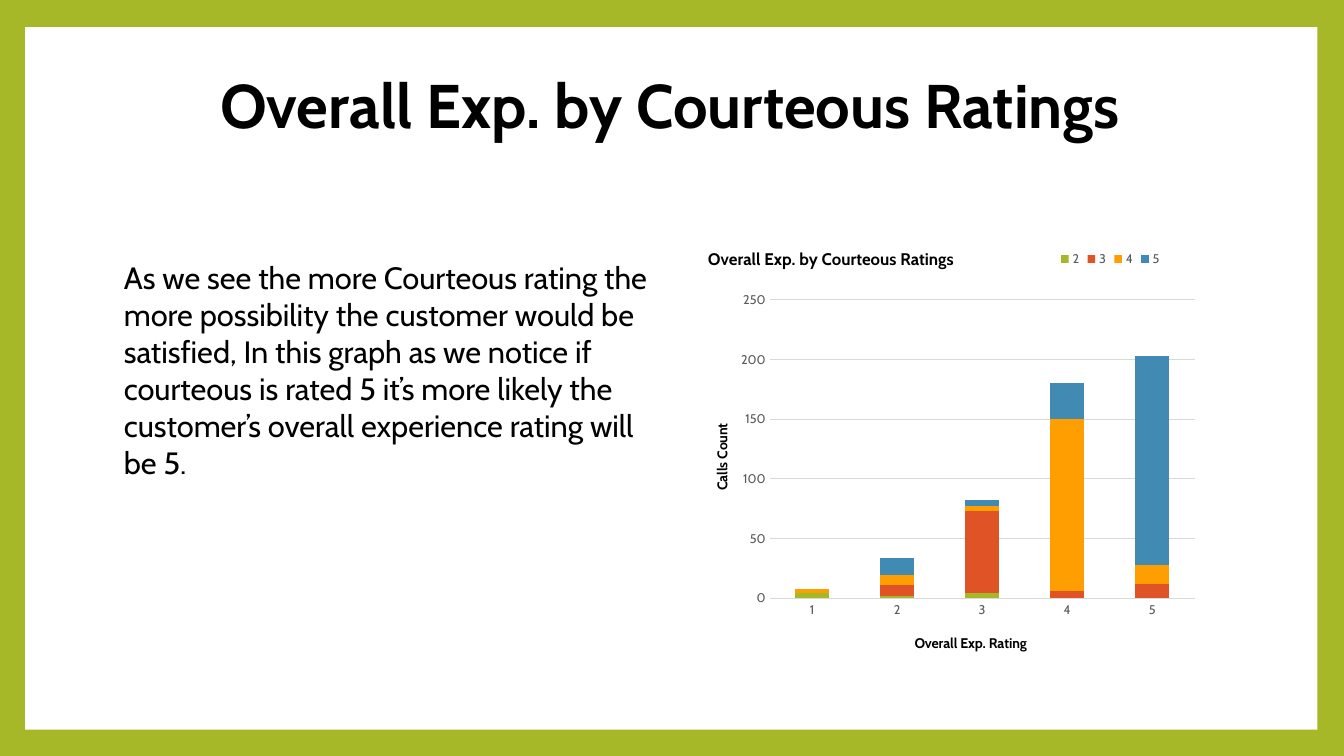
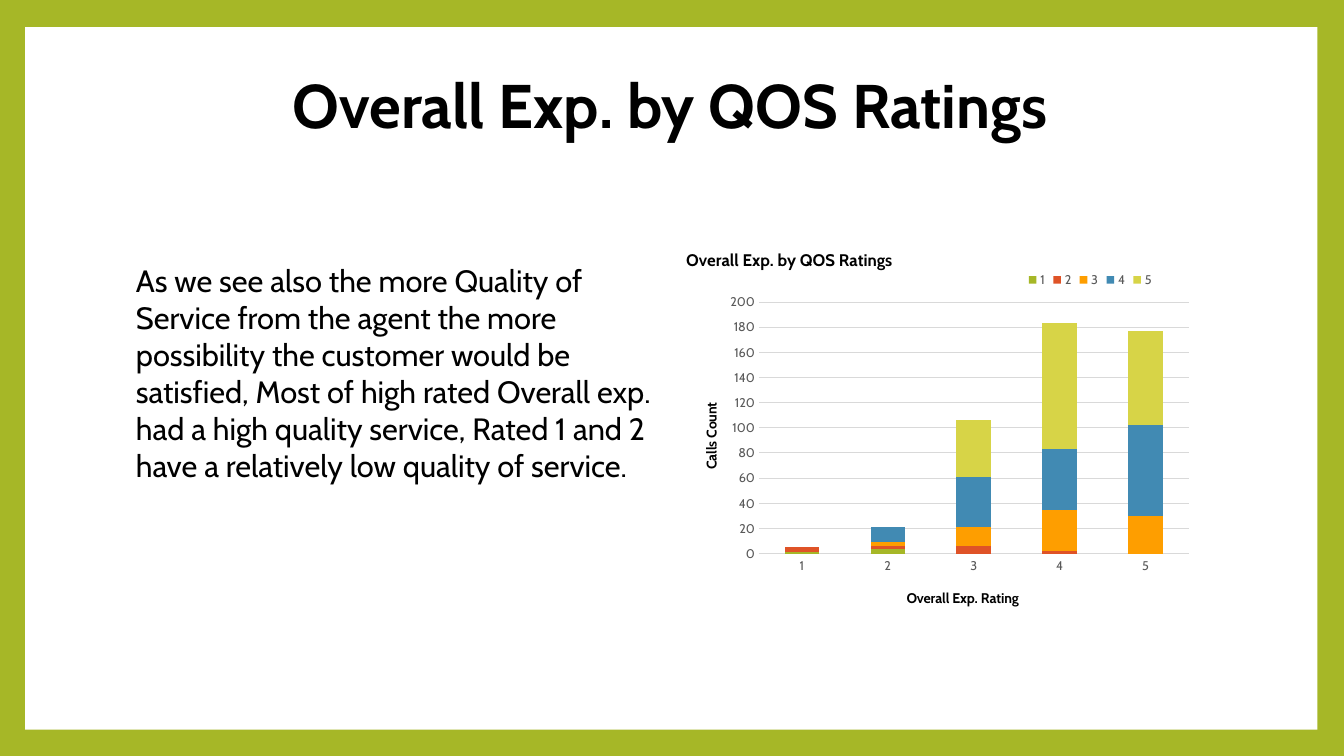
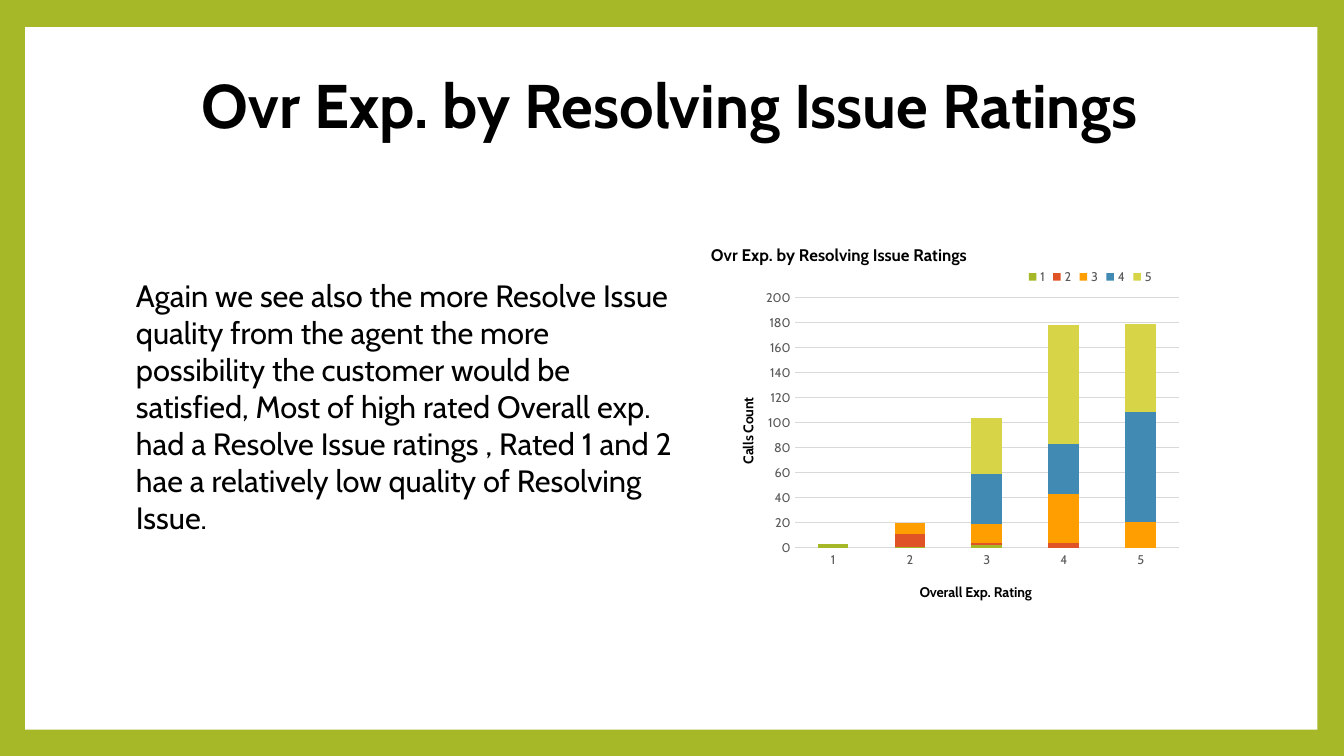
from dataclasses import dataclass

from lxml.etree import SubElement
from pptx import Presentation
from pptx.chart.chart import Chart
from pptx.chart.data import CategoryChartData
from pptx.dml.color import RGBColor
from pptx.enum.chart import XL_CHART_TYPE, XL_LEGEND_POSITION, XL_TICK_MARK
from pptx.enum.shapes import MSO_SHAPE
from pptx.enum.text import MSO_ANCHOR, MSO_AUTO_SIZE, PP_ALIGN
from pptx.oxml.ns import qn
from pptx.oxml.xmlchemy import BaseOxmlElement
from pptx.presentation import Presentation as Deck
from pptx.slide import Slide, SlideLayout
from pptx.text.text import Font
from pptx.util import Pt


@dataclass(frozen=True)
class Theme:
    font: str = "Cabin"
    frame: str = "A6B727"
    panel: str = "FFFFFF"
    text: str = "000000"
    label: str = "595959"
    grid: str = "D9D9D9"
    series: tuple[str, ...] = ("A6B727", "DF5327", "FE9E00", "418AB3", "D7D447")
    title_size: float = 44
    body_size: float = 22
    chart_title_size: float = 12
    axis_title_size: float = 10
    label_size: float = 9


@dataclass(frozen=True)
class Box:
    left: float
    top: float
    width: float
    height: float


@dataclass(frozen=True)
class Point:
    left: float
    top: float


@dataclass(frozen=True)
class RatingChart:
    area: Box
    plot: Box
    title: Point
    legend: Point
    category_title: Point
    value_title: Point
    maximum: int
    step: int
    series: dict[str, tuple[int | None, ...]]


@dataclass(frozen=True)
class RatingPage:
    title: str
    body: str
    body_box: Box
    chart: RatingChart


THEME = Theme()
PANEL = Box(18, 19.4, 923, 501.8)
TITLE = Box(90, 48.2, 777.6, 106.6)
RATINGS = ("1", "2", "3", "4", "5")

PAGES = (
    RatingPage(
        "Overall Exp. by Courteous Ratings",
        "As we see the more Courteous rating the more possibility the customer would be "
        "satisfied, In this graph as we notice if courteous is rated 5 it’s more likely "
        "the customer’s overall experience rating will be 5.",
        Box(81.4, 181.4, 388.8, 189.4),
        RatingChart(
            area=Box(484.6, 162, 383, 319.7),
            plot=Box(0.17, 0.163, 0.793, 0.667),
            title=Point(503.5, 174.5),
            legend=Point(755, 176.5),
            category_title=Point(651.4, 450.5),
            value_title=Point(506.8, 300.7),
            maximum=250,
            step=50,
            series={
                "2": (4, 2, 4, None, None),
                "3": (None, 9, 69, 6, 12),
                "4": (4, 8, 4, 144, 16),
                "5": (None, 15, 5, 30, 175),
            },
        ),
    ),
    RatingPage(
        "Overall Exp. by QOS Ratings",
        "As we see also the more Quality of Service from the agent the more possibility "
        "the customer would be satisfied, Most of high rated Overall exp. had a high "
        "quality service, Rated 1 and 2 have a relatively low quality of service.",
        Box(90, 183.6, 382.3, 193.7),
        RatingChart(
            area=Box(477.4, 162, 389.5, 283),
            plot=Box(0.166, 0.19, 0.788, 0.635),
            title=Point(487.9, 175.7),
            legend=Point(732, 191.4),
            category_title=Point(645.7, 418.2),
            value_title=Point(499, 285.7),
            maximum=200,
            step=20,
            series={
                "1": (1, 4, None, None, None),
                "2": (4, 2, 6, 2, None),
                "3": (None, 3, 15, 33, 30),
                "4": (None, 12, 40, 48, 72),
                "5": (None, None, 45, 100, 75),
            },
        ),
    ),
    RatingPage(
        "Ovr Exp. by Resolving Issue Ratings",
        "Again we see also the more Resolve Issue quality from the agent the more "
        "possibility the customer would be satisfied, Most of high rated Overall exp. had "
        "a Resolve Issue ratings , Rated 1 and 2 hae a relatively low quality of "
        "Resolving Issue.",
        Box(90, 194.4, 401.8, 167),
        RatingChart(
            area=Box(499.7, 162, 367.2, 289.4),
            plot=Box(0.185, 0.175, 0.748, 0.618),
            title=Point(505.7, 172),
            legend=Point(732, 189.3),
            category_title=Point(655, 414),
            value_title=Point(525.4, 282),
            maximum=200,
            step=20,
            series={
                "1": (3, 1, 2, None, None),
                "2": (None, 10, 2, 4, None),
                "3": (None, 9, 15, 39, 21),
                "4": (None, None, 40, 40, 88),
                "5": (None, None, 45, 95, 70),
            },
        ),
    ),
)


def lengths(box: Box) -> tuple[Pt, Pt, Pt, Pt]:
    return Pt(box.left), Pt(box.top), Pt(box.width), Pt(box.height)


def style_font(font: Font, size: float, color: str = THEME.text, bold: bool = False) -> None:
    font.name = THEME.font
    font.size = Pt(size)
    font.bold = bold
    font.color.rgb = RGBColor.from_string(color)


def prepare_layout(deck: Deck) -> SlideLayout:
    layout = deck.slide_layouts.get_by_name("Title Only")
    fill = deck.slide_master.background.fill
    fill.solid()
    fill.fore_color.rgb = RGBColor.from_string(THEME.frame)
    title = layout.placeholders[0]
    title.left, title.top, title.width, title.height = lengths(TITLE)
    return layout


def add_panel(deck: Deck, page: Slide) -> None:
    panel = page.shapes.add_shape(MSO_SHAPE.RECTANGLE, *lengths(PANEL))
    panel.shadow.inherit = False
    panel.fill.solid()
    panel.fill.fore_color.rgb = RGBColor.from_string(THEME.panel)
    panel.line.fill.background()
    deck.slide_master.element.cSld.spTree.insert(2, panel.element)


def add_title(page: Slide, text: str) -> None:
    frame = page.shapes.title.text_frame
    frame.text = text
    frame.auto_size = MSO_AUTO_SIZE.NONE
    frame.vertical_anchor = MSO_ANCHOR.TOP
    frame.margin_top = Pt(5.4)
    para = frame.paragraphs[0]
    para.alignment = PP_ALIGN.CENTER
    para.line_spacing = 0.9
    style_font(para.font, THEME.title_size, bold=True)


def add_body(page: Slide, text: str, box: Box) -> None:
    frame = page.shapes.add_textbox(*lengths(box)).text_frame
    frame.word_wrap = True
    frame.auto_size = MSO_AUTO_SIZE.SHAPE_TO_FIT_TEXT
    frame.text = text
    style_font(frame.paragraphs[0].font, THEME.body_size)


def set_layout(parent: BaseOxmlElement, values: dict[str, str | float]) -> None:
    for layout in parent.findall(qn("c:layout")):
        parent.remove(layout)
    leading = [child for child in parent if child.tag in (qn("c:tx"), qn("c:legendPos"))]
    layout = SubElement(parent, qn("c:layout"))
    parent.insert(len(leading), layout)
    manual = SubElement(layout, qn("c:manualLayout"))
    for name, value in values.items():
        SubElement(manual, qn(f"c:{name}")).set("val", str(value))


def place_in_chart(parent: BaseOxmlElement, point: Point, area: Box) -> None:
    set_layout(parent, {
        "xMode": "edge",
        "yMode": "edge",
        "x": round((point.left - area.left) / area.width, 4),
        "y": round((point.top - area.top) / area.height, 4),
    })


def add_chart_title(title, text: str, size: float, point: Point, area: Box) -> None:
    title.text_frame.text = text
    style_font(title.text_frame.paragraphs[0].font, size, bold=True)
    place_in_chart(title.element, point, area)


def style_axes(chart: Chart, plan: RatingChart) -> None:
    grid = RGBColor.from_string(THEME.grid)
    category, value = chart.category_axis, chart.value_axis
    value.minimum_scale = 0
    value.maximum_scale = plan.maximum
    value.major_unit = plan.step
    value.format.line.fill.background()
    for line in (category.format.line, value.major_gridlines.format.line):
        line.color.rgb = grid
        line.width = Pt(0.75)
    for axis, text, point in (
        (category, "Overall Exp. Rating", plan.category_title),
        (value, "Calls Count", plan.value_title),
    ):
        axis.major_tick_mark = axis.minor_tick_mark = XL_TICK_MARK.NONE
        style_font(axis.tick_labels.font, THEME.label_size, THEME.label)
        add_chart_title(axis.axis_title, text, THEME.axis_title_size, point, plan.area)
    body = value.axis_title.element.find(f".//{qn('a:bodyPr')}")
    body.set("rot", "-5400000")
    body.set("vert", "horz")


def add_rating_chart(page: Slide, title: str, plan: RatingChart) -> None:
    data = CategoryChartData()
    data.categories = RATINGS
    for name, values in plan.series.items():
        data.add_series(name, values)
    chart = page.shapes.add_chart(
        XL_CHART_TYPE.COLUMN_STACKED, *lengths(plan.area), data
    ).chart
    style_font(chart.font, THEME.axis_title_size)
    chart.has_title = True
    add_chart_title(chart.chart_title, title, THEME.chart_title_size, plan.title, plan.area)

    chart.has_legend = True
    chart.legend.position = XL_LEGEND_POSITION.TOP
    chart.legend.include_in_layout = False
    style_font(chart.legend.font, THEME.label_size, THEME.label)
    place_in_chart(chart.element.find(f".//{qn('c:legend')}"), plan.legend, plan.area)

    columns = chart.plots[0]
    columns.gap_width = 150
    columns.overlap = 100
    columns.vary_by_categories = False
    for series, color in zip(columns.series, THEME.series):
        series.format.fill.solid()
        series.format.fill.fore_color.rgb = RGBColor.from_string(color)
    style_axes(chart, plan)
    set_layout(chart.element.find(f".//{qn('c:plotArea')}"), {
        "layoutTarget": "inner",
        "xMode": "edge",
        "yMode": "edge",
        "x": plan.plot.left,
        "y": plan.plot.top,
        "w": plan.plot.width,
        "h": plan.plot.height,
    })


def build() -> None:
    deck = Presentation()
    deck.slide_width, deck.slide_height = Pt(960), Pt(540)
    layout = prepare_layout(deck)
    for number, plan in enumerate(PAGES):
        page = deck.slides.add_slide(layout)
        if number == 0:
            add_panel(deck, page)
        add_title(page, plan.title)
        add_rating_chart(page, plan.title, plan.chart)
        add_body(page, plan.body, plan.body_box)
    deck.save("out.pptx")


build()
